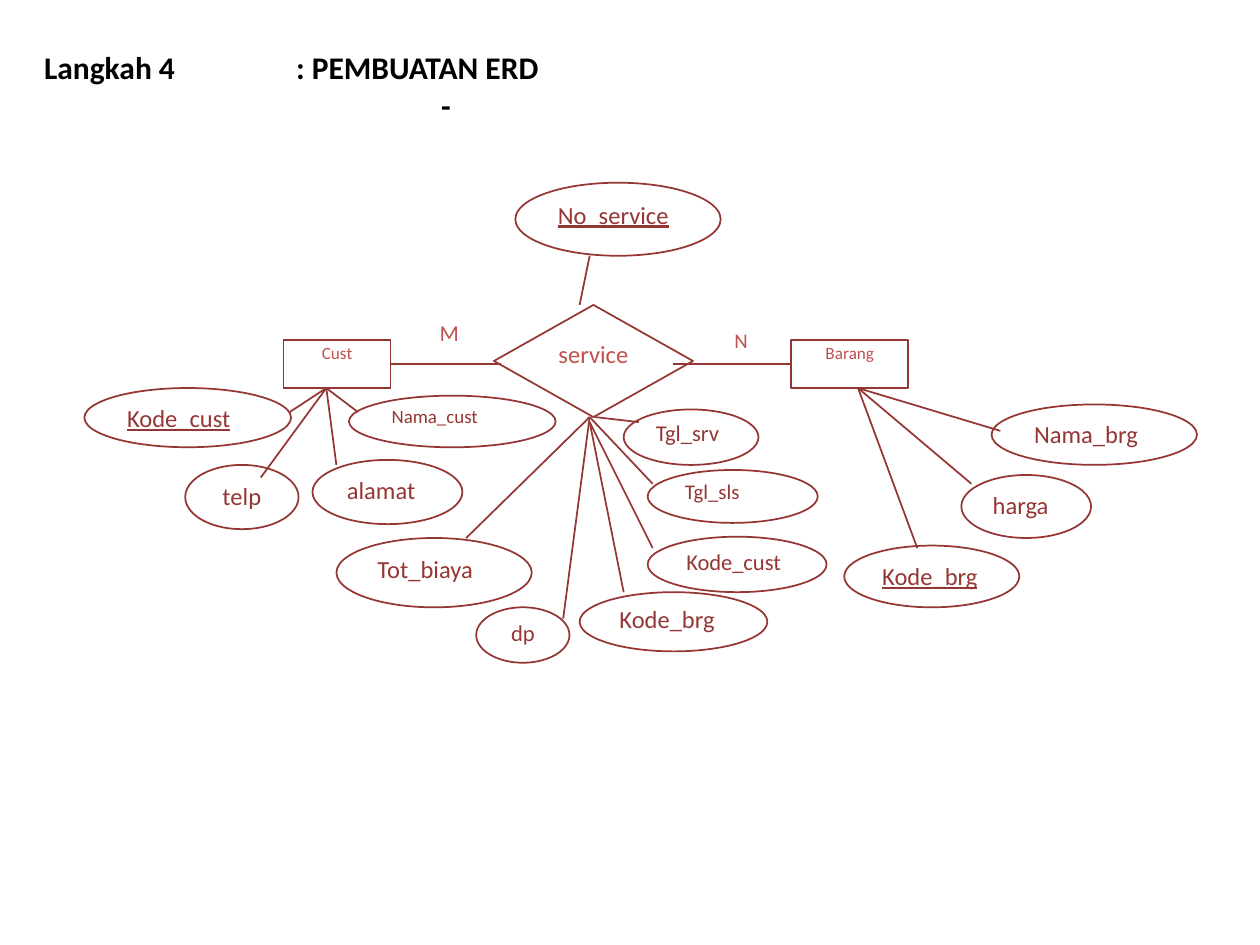
from typing import NamedTuple, Optional

from pptx import Presentation
from pptx.dml.color import RGBColor
from pptx.enum.shapes import MSO_CONNECTOR, MSO_SHAPE
from pptx.enum.text import MSO_ANCHOR, MSO_AUTO_SIZE, PP_ALIGN
from pptx.oxml import parse_xml
from pptx.oxml.ns import nsdecls, qn
from pptx.util import Inches, Pt

RECT, OVAL, DIAMOND = MSO_SHAPE.RECTANGLE, MSO_SHAPE.OVAL, MSO_SHAPE.DIAMOND
STRAIGHT = MSO_CONNECTOR.STRAIGHT
LEFT, CENTER = PP_ALIGN.LEFT, PP_ALIGN.CENTER
LEFT_SIDE, RIGHT_SIDE = 1, 3
FONT = "Calibri"
DARK, RED, WHITE, BLACK = "943634", "C0504D", "FFFFFF", "000000"


class Node(NamedTuple):
    text: str
    left: float
    top: float
    width: float
    height: float
    size: float = 14
    spacing: float = 1
    align: int = LEFT
    key: bool = False
    kind: int = OVAL
    color: str = DARK
    line: Optional[str] = DARK


class Fan(NamedTuple):
    """Lines that spread from one point."""
    start: tuple
    ends: list


CUST = Node("Cust", 2.25, 2.7, 0.85, 0.38, 9.8, 0.8, CENTER, kind=RECT, color=RED)
BARANG = Node("Barang", 6.28, 2.7, 0.93, 0.38, 9.8, 0.8, CENTER, kind=RECT, color=RED)
SERVICE = Node("service", 3.92, 2.42, 1.58, 0.89, align=CENTER, kind=DIAMOND, color=RED)

FIELDS = [
    Node("Nama_cust", 2.77, 3.14, 1.64, 0.41, 10.8, 0.8),
    Node("alamat", 2.48, 3.65, 1.19, 0.51),
    Node("Kode_cust", 0.67, 3.08, 1.64, 0.47, key=True),
    Node("telp", 1.47, 3.69, 0.9, 0.51, align=CENTER),
    Node("No_service", 4.09, 1.45, 1.63, 0.58, key=True),
    Node("Tgl_srv", 4.95, 3.25, 1.07, 0.44, 12.9, 0.8),
    Node("Tgl_sls", 5.14, 3.73, 1.35, 0.42, 11.9, 0.8),
    Node("Tot_biaya", 2.67, 4.27, 1.55, 0.55),
    Node("dp", 3.78, 4.82, 0.74, 0.44, 12.9, 0.9, CENTER),
    Node("Kode_cust", 5.14, 4.26, 1.42, 0.44, 12.9, 0.9),
    Node("Kode_brg", 4.6, 4.7, 1.49, 0.47, spacing=0.9),
    Node("Kode_brg", 6.7, 4.33, 1.39, 0.49, key=True),
    Node("Nama_brg", 7.87, 3.21, 1.63, 0.48),
    Node("harga", 7.63, 3.77, 1.03, 0.5),
]

RATIOS = [
    Node("M", 3.39, 2.51, 0.37, 0.33, 12.9, 0.9, kind=RECT, color=RED, line=None),
    Node("N", 5.73, 2.57, 0.29, 0.31, 11.9, 0.9, kind=RECT, color=RED, line=None),
]

FANS = [
    Fan((2.59, 3.08), [(2.3, 3.27), (2.07, 3.79), (2.67, 3.69), (2.84, 3.27)]),
    Fan((4.6, 2.42), [(4.68, 2.03)]),
    Fan((4.72, 3.31), [(5.07, 3.35)]),
    Fan((4.68, 3.31), [(3.7, 4.27), (5.18, 3.84), (4.47, 4.91)]),
    Fan((4.68, 3.35), [(4.95, 4.7), (5.18, 4.35)]),
    Fan((6.81, 3.08), [(7.71, 3.84), (7.28, 4.35), (7.94, 3.42)]),
]


def rgb(color: str) -> RGBColor:
    return RGBColor.from_string(color)


def write(para, text: str, *, size: float, color: str, bold=False, under=False,
          align=LEFT, spacing: float = 1, after: float = 0) -> None:
    para.alignment = align
    para.line_spacing = spacing
    para.space_after = Pt(after)
    run = para.add_run()
    run.text = text
    font = run.font
    font.name, font.size, font.bold, font.underline = FONT, Pt(size), bold, under
    font.color.rgb = rgb(color)


def add_title(slide) -> None:
    title = slide.shapes.title
    title.left, title.top = Inches(0.25), Inches(0.33)
    title.width, title.height = Inches(6.58), Inches(1)
    frame = title.text_frame
    frame.word_wrap = True
    frame.auto_size = MSO_AUTO_SIZE.NONE
    frame.vertical_anchor = MSO_ANCHOR.TOP
    head = frame.paragraphs[0]
    head._p.get_or_add_pPr().append(parse_xml(
        f'<a:tabLst {nsdecls("a")}><a:tab pos="{Inches(2)}" algn="l"/></a:tabLst>'))
    look = dict(size=18, color=BLACK, bold=True)
    write(head, "Langkah 4\t: PEMBUATAN ERD", **look)
    write(frame.add_paragraph(), "-", align=CENTER, **look)


def add_node(slide, node: Node):
    shape = slide.shapes.add_shape(
        node.kind, Inches(node.left), Inches(node.top),
        Inches(node.width), Inches(node.height))
    shape.shadow.inherit = False
    shape.fill.solid()
    shape.fill.fore_color.rgb = rgb(WHITE)
    if node.line:
        shape.line.color.rgb = rgb(node.line)
        shape.line.width = Pt(1)
    else:
        shape.line.fill.background()
    frame = shape.text_frame
    frame.word_wrap = True
    frame.vertical_anchor = MSO_ANCHOR.TOP
    write(frame.paragraphs[0], node.text, size=node.size, color=node.color,
          under=node.key, align=node.align, spacing=node.spacing, after=10)
    return shape


def add_line(slide, start: tuple, end: tuple):
    line = slide.shapes.add_connector(
        STRAIGHT, *(Inches(n) for n in (*start, *end)))
    line.line.color.rgb = rgb(DARK)
    line.line.width = Pt(1)
    props = line._element.spPr
    props.append(props.makeelement(qn("a:effectLst"), {}))
    return line


def main() -> None:
    deck = Presentation()
    deck.slide_width, deck.slide_height = Inches(10), Inches(7.5)
    slide = deck.slides.add_slide(deck.slide_layouts[5])
    add_title(slide)

    cust, barang, _ = [add_node(slide, n) for n in (CUST, BARANG, SERVICE)]
    for node in FIELDS:
        add_node(slide, node)
    for fan in FANS:
        for end in fan.ends:
            add_line(slide, fan.start, end)

    mid = CUST.top + CUST.height / 2
    add_line(slide, (3.98, mid), (3.1, mid)).end_connect(cust, RIGHT_SIDE)
    add_line(slide, (6.28, mid), (5.34, mid)).begin_connect(barang, LEFT_SIDE)
    for node in RATIOS:
        add_node(slide, node)
    deck.save("out.pptx")


if __name__ == "__main__":
    main()
